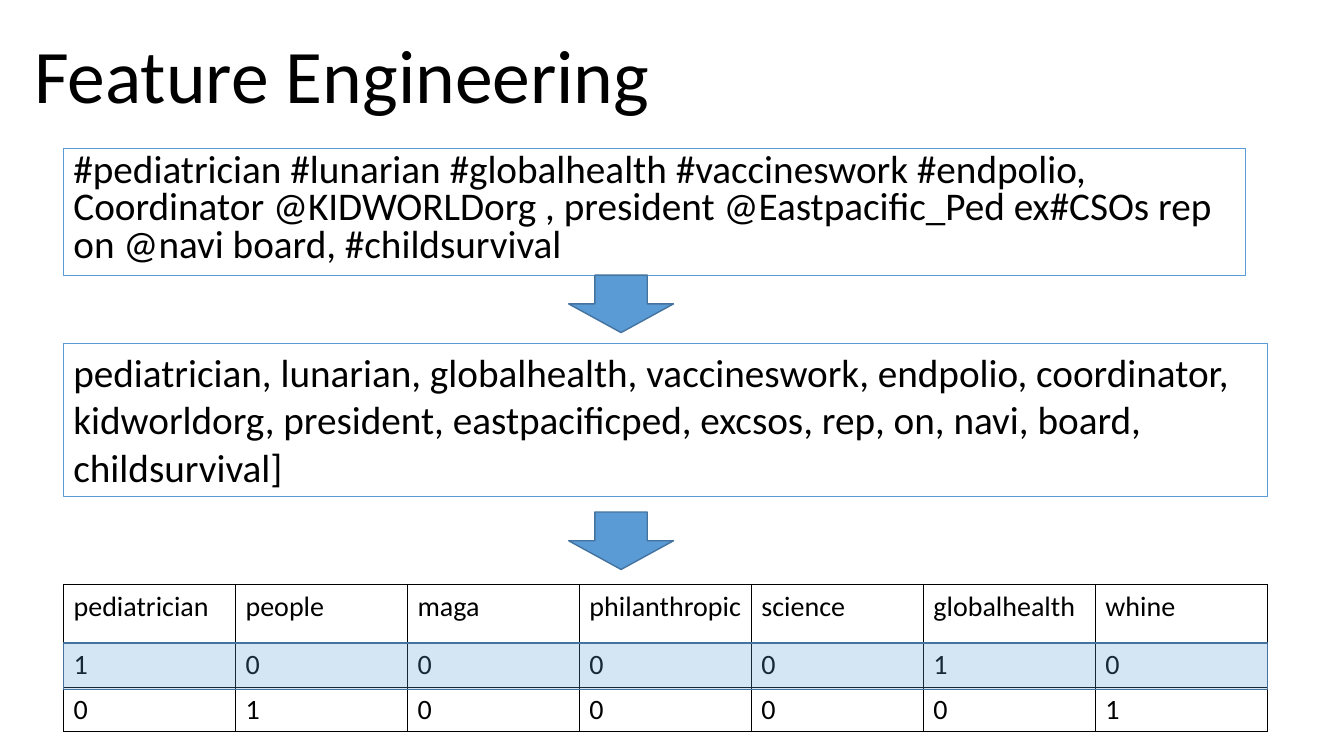
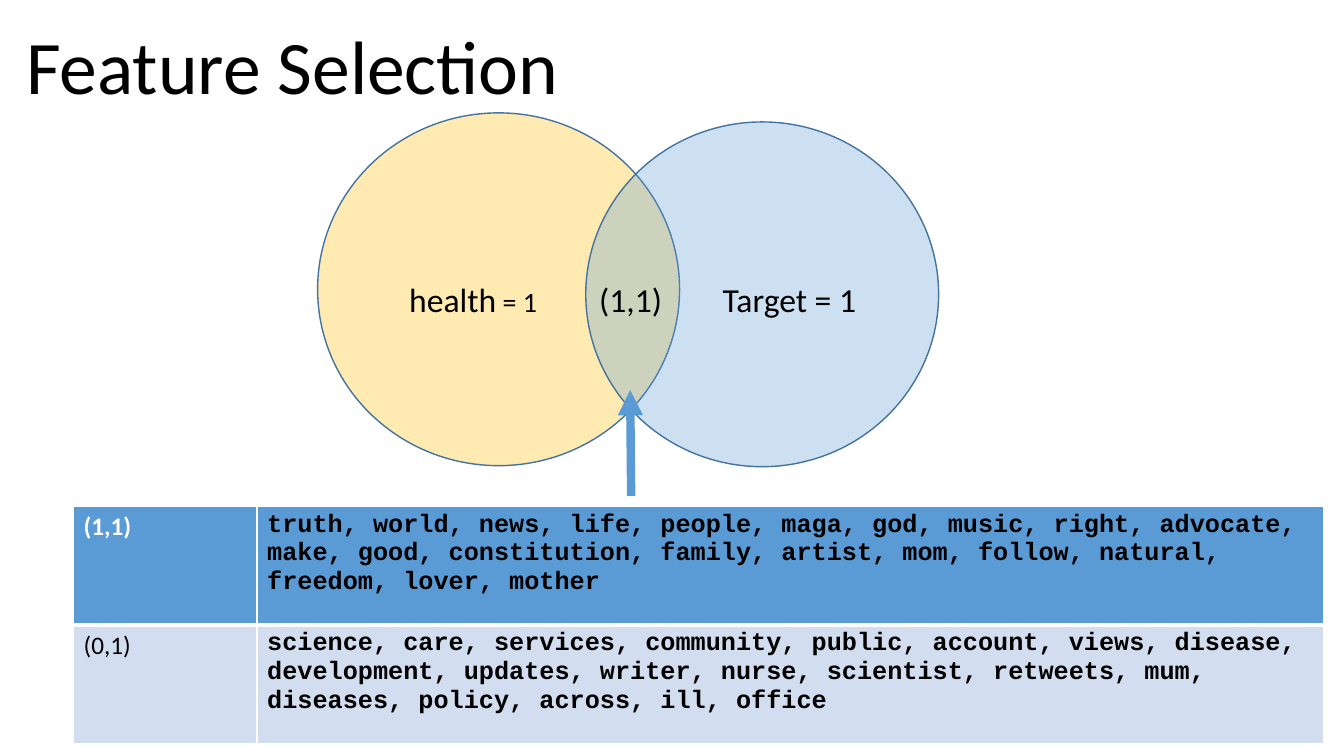
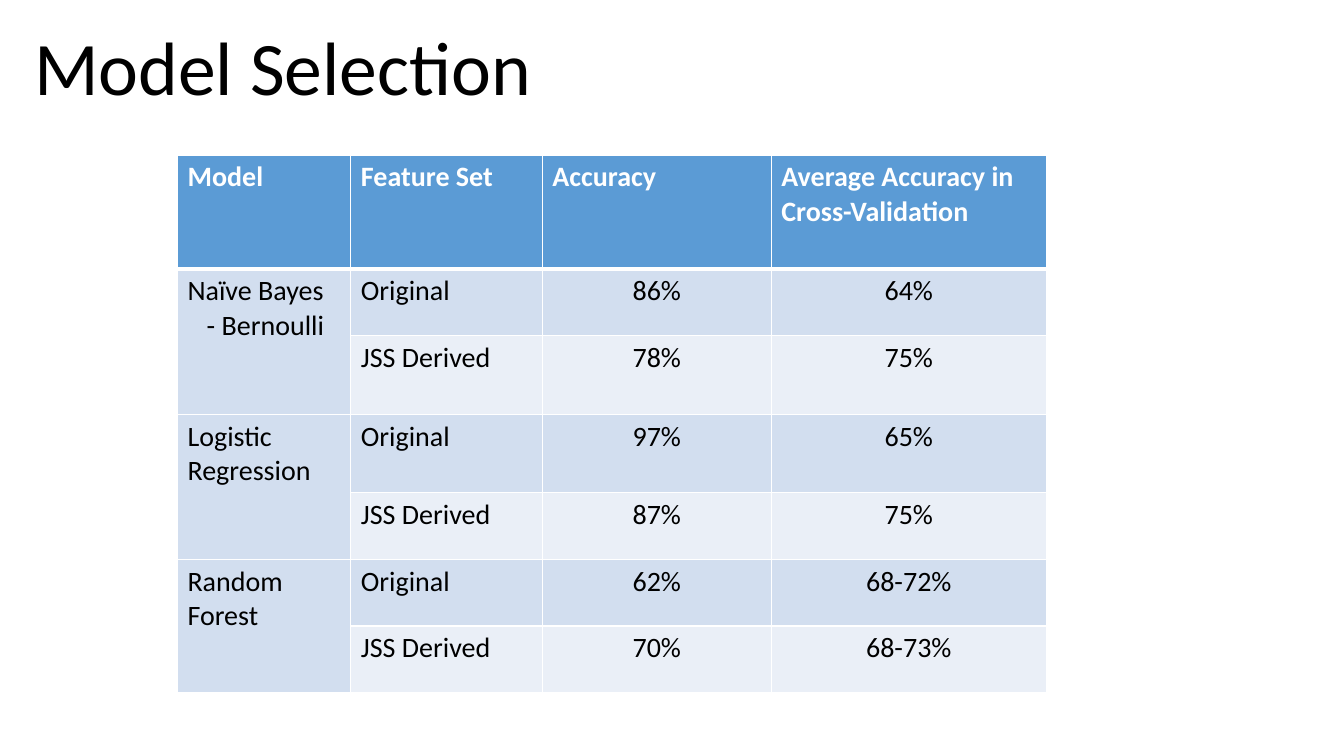
from lxml import etree
from pptx import Presentation
from pptx.dml.color import RGBColor
from pptx.enum.shapes import MSO_CONNECTOR, MSO_SHAPE as Shape
from pptx.enum.text import MSO_ANCHOR as Anchor, PP_ALIGN as Align
from pptx.oxml.ns import qn
from pptx.util import Inches, Pt

BLUE, DARK_BLUE, PALE, PALER = "5B9BD5", "43739E", "D2DEEF", "EAEFF7"
BLACK, WHITE, AMBER = "000000", "FFFFFF", "FFC000"
BODY_FONT, CODE_FONT = "Calibri", "Courier New"

RAW_PROFILE = (
    "#pediatrician #lunarian #globalhealth #vaccineswork #endpolio, Coordinator "
    "@KIDWORLDorg , president @Eastpacific_Ped ex#CSOs rep on @navi board, #childsurvival"
)
TOKENS = (
    "pediatrician, lunarian, globalhealth, vaccineswork, endpolio, coordinator, "
    "kidworldorg, president, eastpacificped, excsos, rep, on, navi, board, childsurvival]"
)
WORD_COUNTS = [
    ("pediatrician", "people", "maga", "philanthropic", "science", "globalhealth", "whine"),
    ("1", "0", "0", "0", "0", "1", "0"),
    ("0", "1", "0", "0", "0", "0", "1"),
]
SELECTED_WORDS = [
    ("(1,1)", ["truth, world, news, life, people, maga, god, music, right, advocate,",
               "make, good, constitution, family, artist, mom, follow, natural, "
               "freedom, lover, mother"]),
    ("(0,1)", ["science, care, services, community, public, account, views, disease,",
               "development, updates, writer, nurse, scientist, retweets, mum, "
               "diseases, policy, across, ill, office"]),
]
CIRCLES = [
    ((3.15, 1.12, 3.59, 3.5), AMBER),
    ((5.81, 1.21, 3.5, 3.42), BLUE),
]
CIRCLE_LABELS = [
    ((3.96, 2.72, 1.52, 0.5), [("health", 24), (" = 1", 20)], Align.LEFT),
    ((7.07, 2.72, 1.73, 0.5), [("Target = 1", 24)], Align.LEFT),
    ((5.84, 2.72, 0.83, 0.5), [("(1,1)", 24)], Align.CENTER),
]
# None continues the cell above
MODEL_SCORES = [
    ("Model", "Feature Set", "Accuracy", "Average Accuracy in Cross-Validation"),
    (["Naïve Bayes", "- Bernoulli"], "Original", "86%", "64%"),
    (None, "JSS Derived", "78%", "75%"),
    ("Logistic Regression", "Original", "97%", "65%"),
    (None, "JSS Derived", "87%", "75%"),
    ("Random Forest", "Original", "62%", "68-72%"),
    (None, "JSS Derived", "70%", "68-73%"),
]


def rgb(value):
    return RGBColor.from_string(value)


def inches(values):
    return [Inches(value) for value in values]


def add_run(paragraph, text, size, colour=BLACK, name=BODY_FONT, bold=False):
    run = paragraph.add_run()
    run.text = text
    for attribute, value in {"name": name, "size": Pt(size), "bold": bold}.items():
        setattr(run.font, attribute, value)
    run.font.color.rgb = rgb(colour)


def format_paragraph(paragraph, **values):
    for attribute, value in values.items():
        setattr(paragraph, attribute, value)


def add_text(slide, box, runs, anchor=Anchor.TOP, **paragraph_format):
    """Add a one-paragraph text box; runs are (text, size) pairs."""
    shape = slide.shapes.add_textbox(*inches(box))
    frame = shape.text_frame
    frame.word_wrap = True
    frame.vertical_anchor = anchor
    format_paragraph(frame.paragraphs[0], **paragraph_format)
    for text, size in runs:
        add_run(frame.paragraphs[0], text, size)
    return shape


def add_outlined_text(slide, box, text, **paragraph_format):
    shape = add_text(slide, box, [(text, 28)], **paragraph_format)
    shape.line.color.rgb = rgb(BLUE)
    shape.line.width = Pt(0.75)


def add_shape(slide, kind, box, fill, opacity=100):
    shape = slide.shapes.add_shape(kind, *inches(box))
    shape.shadow.inherit = False
    shape.fill.solid()
    shape.fill.fore_color.rgb = rgb(fill)
    shape.line.color.rgb = rgb(DARK_BLUE)
    shape.line.width = Pt(1)
    if opacity < 100:
        colour = shape.fill._xPr.find(qn("a:solidFill"))[0]
        etree.SubElement(colour, qn("a:alpha"), val=str(opacity * 1000))


def add_thick_arrow(slide, start, end):
    arrow = slide.shapes.add_connector(MSO_CONNECTOR.STRAIGHT, *inches(start + end))
    arrow.line.color.rgb = rgb(BLUE)
    arrow.line.width = Pt(6)
    etree.SubElement(arrow.line._get_or_add_ln(), qn("a:tailEnd"), type="triangle")
    etree.SubElement(arrow._element.spPr, qn("a:effectLst"))


def set_borders(cell, colour, top=1, bottom=1):
    properties = cell._tc.get_or_add_tcPr()
    for side, width in {"L": 1, "R": 1, "T": top, "B": bottom}.items():
        line = etree.SubElement(properties, qn(f"a:ln{side}"), w=str(Pt(width)))
        solid = etree.SubElement(line, qn("a:solidFill"))
        etree.SubElement(solid, qn("a:srgbClr"), val=colour)


def add_table(slide, position, widths, heights, rows, border, style, header_rule=1):
    """Draw rows; style(row, column) gives fill, alignment and font values of a cell."""
    table = slide.shapes.add_table(
        len(rows), len(widths), *inches((*position, sum(widths), sum(heights)))).table
    table.first_row = table.horz_banding = False
    for column, width in zip(table.columns, widths):
        column.width = Inches(width)
    for row, height in zip(table.rows, heights):
        row.height = Inches(height)
    for r, row in enumerate(rows):
        for c, content in enumerate(row):
            cell = table.cell(r, c)
            fill, alignment, font = style(r, c)
            set_borders(cell, border, top=header_rule if r == 1 else 1,
                        bottom=header_rule if r == 0 else 1)
            if fill:
                cell.fill.solid()
                cell.fill.fore_color.rgb = rgb(fill)
            else:
                cell.fill.background()
            if content is None:
                table.cell(r - 1, c).merge(cell)
                continue
            lines = content if isinstance(content, list) else [content]
            for index, text in enumerate(lines):
                frame = cell.text_frame
                paragraph = frame.add_paragraph() if index else frame.paragraphs[0]
                paragraph.alignment = alignment
                add_run(paragraph, text, **font)
    return table


def count_style(row, column):
    return None, Align.LEFT, {"size": 20}


def word_style(row, column):
    font = {"size": 18, "bold": row == 0 or column == 1}
    if column == 1:
        font["name"] = CODE_FONT
    elif row == 0:
        font["colour"] = WHITE
    return (PALE if row else BLUE), Align.LEFT, font


def score_style(row, column):
    if row == 0:
        return BLUE, Align.LEFT, {"size": 20, "bold": True, "colour": WHITE}
    fill = PALE if row % 2 or column == 0 else PALER
    return fill, Align.CENTER if column > 1 else Align.LEFT, {"size": 20}


def add_titled_slide(presentation, title, box):
    slide = presentation.slides.add_slide(presentation.slide_layouts[6])
    add_text(slide, box, [(title, 54)], Anchor.BOTTOM, line_spacing=0.9)
    return slide


def build_engineering(presentation):
    slide = add_titled_slide(presentation, "Feature Engineering", (0.24, 0.18, 6.45, 1.06))
    left, width = 0.63, 11.94
    add_outlined_text(slide, (left, 1.47, 11.72, 1.26), RAW_PROFILE,
                      line_spacing=0.8, space_before=Pt(10))
    add_outlined_text(slide, (left, 3.41, width, 1.52), TOKENS)
    for top in (2.73, 5.08):
        add_shape(slide, Shape.DOWN_ARROW, (5.64, top, 1.04, 0.57), BLUE)
    columns = len(WORD_COUNTS[0])
    add_table(slide, (left, 5.8), [width / columns] * columns, [0.58, 0.44, 0.44],
              WORD_COUNTS, BLACK, count_style)
    add_shape(slide, Shape.RECTANGLE, (left, 6.38, width, 0.46), BLUE, opacity=26)


def build_selection(presentation):
    slide = add_titled_slide(presentation, "Feature Selection", (0.16, 0.09, 5.97, 1.06))
    for box, fill in CIRCLES:
        add_shape(slide, Shape.OVAL, box, fill, opacity=30)
    for box, runs, alignment in CIRCLE_LABELS:
        add_text(slide, box, runs, alignment=alignment)
    add_thick_arrow(slide, (6.26, 4.92), (6.25, 3.87))
    add_table(slide, (0.73, 5.02), [1.82, 10.58], [1.18] * 2,
              SELECTED_WORDS, WHITE, word_style, header_rule=3)


def build_models(presentation):
    slide = add_titled_slide(presentation, "Model Selection", (0.24, 0.31, 5.59, 0.85))
    table = add_table(slide, (1.76, 1.54), [1.72, 1.9, 2.27, 2.73],
                      [1.13, 0.66, 0.78, 0.78, 0.66, 0.66, 0.66],
                      MODEL_SCORES, WHITE, score_style, header_rule=3)
    variant = table.cell(1, 0).text_frame.paragraphs[1]
    variant._p.get_or_add_pPr().set("marL", str(Inches(0.19)))


def main():
    presentation = Presentation()
    presentation.slide_width, presentation.slide_height = inches((13.33, 7.5))
    for build in (build_engineering, build_selection, build_models):
        build(presentation)
    presentation.save("out.pptx")


if __name__ == "__main__":
    main()
